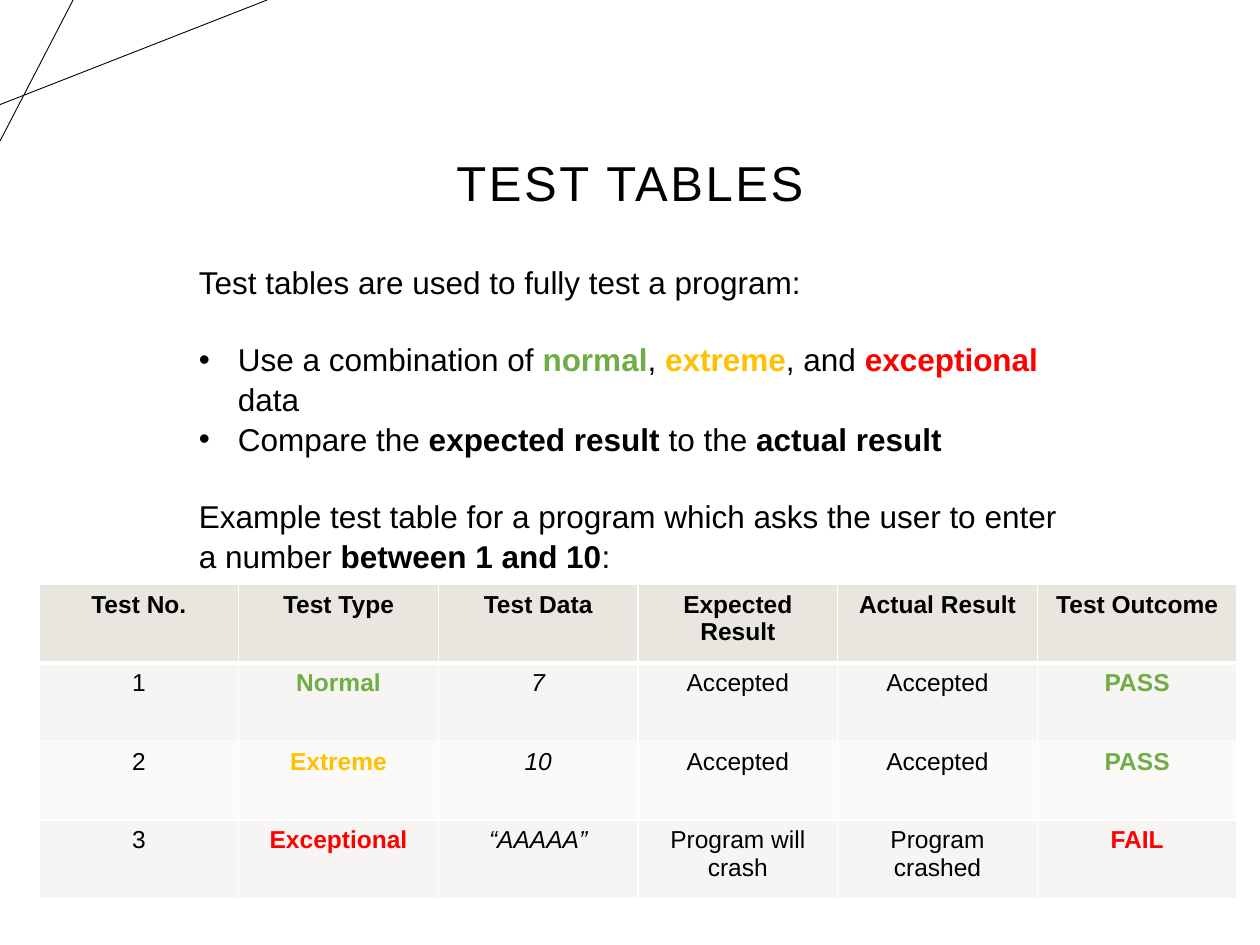
from dataclasses import dataclass

from lxml.etree import SubElement
from pptx import Presentation
from pptx.dml.color import RGBColor
from pptx.enum.shapes import MSO_CONNECTOR
from pptx.enum.text import MSO_ANCHOR, PP_ALIGN
from pptx.oxml.ns import qn
from pptx.util import Inches, Pt

FONT = "Arial"
COLORS = {
    "text": "000000",
    "normal": "70AD47",
    "extreme": "FFC000",
    "exceptional": "FF0000",
    "border": "FFFFFF",
    "header": "E9E6DF",
    "odd": "F7F5F3",
    "even": "FBFAF9",
}
BODY_SIZE = 18
BODY_SPACING = 1.05
SECTION_GAP = Pt(21.7)
INDENT = Inches(0.31)


@dataclass
class Run:
    text: str
    color: str = "text"
    bold: bool = False
    italic: bool = False


@dataclass
class Para:
    runs: list[Run]
    bullet: bool = False
    gap: bool = False


@dataclass
class Test:
    kind: str
    data: str
    expected: str
    actual: str
    passed: bool


BODY = [
    Para([Run("Test tables are used to fully test a program:")]),
    Para([
        Run("Use a combination of "),
        Run("normal", "normal", True),
        Run(", "),
        Run("extreme", "extreme", True),
        Run(", and "),
        Run("exceptional", "exceptional", True),
        Run(" data"),
    ], bullet=True, gap=True),
    Para([
        Run("Compare the "),
        Run("expected result", bold=True),
        Run(" to the "),
        Run("actual result", bold=True),
    ], bullet=True),
    Para([
        Run("Example test table for a program which asks the user to enter a number "),
        Run("between 1 and 10", bold=True),
        Run(":"),
    ], gap=True),
]
HEADERS = ["Test No.", "Test Type", "Test Data",
           "Expected Result", "Actual Result", "Test Outcome"]
TESTS = [
    Test("Normal", "7", "Accepted", "Accepted", True),
    Test("Extreme", "10", "Accepted", "Accepted", True),
    Test("Exceptional", "“AAAAA”", "Program will crash", "Program crashed", False),
]


def rgb(name: str) -> RGBColor:
    return RGBColor.from_string(COLORS[name])


def add_run(p, run: Run, size: float):
    r = p.add_run()
    r.text = run.text
    r.font.name = FONT
    r.font.size = Pt(size)
    r.font.bold = run.bold
    r.font.italic = run.italic
    r.font.color.rgb = rgb(run.color)
    return r


def add_line(s, x1: float, y1: float, x2: float, y2: float) -> None:
    line = s.shapes.add_connector(
        MSO_CONNECTOR.STRAIGHT, Inches(x1), Inches(y1), Inches(x2), Inches(y2))
    line.line.color.rgb = rgb("text")
    line.line.width = Pt(0.5)
    SubElement(line._element.spPr, qn("a:effectLst"))


def add_text_frame(s, x: float, y: float, w: float, h: float):
    tf = s.shapes.add_textbox(Inches(x), Inches(y), Inches(w), Inches(h)).text_frame
    tf.word_wrap = True
    return tf


def add_title(s) -> None:
    tf = add_text_frame(s, 0.69, 0.75, 8.62, 1.45)
    tf.vertical_anchor = MSO_ANCHOR.MIDDLE
    p = tf.paragraphs[0]
    p.alignment = PP_ALIGN.CENTER
    p.line_spacing = 0.9
    r = add_run(p, Run("TEST TABLES"), 28)
    r.font._element.set("spc", "150")


def add_bullet(p) -> None:
    pPr = p._p.get_or_add_pPr()
    pPr.set("marL", str(INDENT))
    pPr.set("indent", str(-INDENT))
    SubElement(pPr, qn("a:buFont"), typeface=FONT)
    SubElement(pPr, qn("a:buChar"), char="•")


def add_body(s) -> None:
    tf = add_text_frame(s, 1.48, 2.02, 7.15, 2.83)
    for i, para in enumerate(BODY):
        p = tf.add_paragraph() if i else tf.paragraphs[0]
        if para.bullet:
            add_bullet(p)
        p.line_spacing = BODY_SPACING
        if para.gap:
            p.space_before = SECTION_GAP
        for run in para.runs:
            add_run(p, run, BODY_SIZE)


def set_borders(cell, top: float, bottom: float) -> None:
    tcPr = cell._tc.get_or_add_tcPr()
    for side, width in (("L", 1), ("R", 1), ("T", top), ("B", bottom)):
        ln = SubElement(tcPr, qn(f"a:ln{side}"), w=str(Pt(width)))
        fill = SubElement(ln, qn("a:solidFill"))
        SubElement(fill, qn("a:srgbClr"), val=COLORS["border"])


def test_row(number: int, test: Test) -> list[Run]:
    outcome = Run("PASS", "normal", True) if test.passed else Run("FAIL", "exceptional", True)
    return [
        Run(str(number)),
        Run(test.kind, test.kind.lower(), True),
        Run(test.data, italic=True),
        Run(test.expected),
        Run(test.actual),
        outcome,
    ]


def add_test_table(s) -> None:
    rows = [[Run(h, bold=True) for h in HEADERS]]
    rows += [test_row(n, test) for n, test in enumerate(TESTS, 1)]
    table = s.shapes.add_table(len(rows), len(HEADERS), Inches(0.31), Inches(4.64),
                               Inches(9.51), Inches(2.49)).table
    for i, row in enumerate(rows):
        fill = "header" if i == 0 else "odd" if i % 2 else "even"
        for j, run in enumerate(row):
            cell = table.cell(i, j)
            set_borders(cell, top=3 if i == 1 else 1, bottom=3 if i == 0 else 1)
            cell.fill.solid()
            cell.fill.fore_color.rgb = rgb(fill)
            p = cell.text_frame.paragraphs[0]
            p.alignment = PP_ALIGN.CENTER
            add_run(p, run, 14)


def main() -> None:
    prs = Presentation()
    prs.slide_width, prs.slide_height = Inches(10), Inches(7.5)
    s = prs.slides.add_slide(prs.slide_layouts[6])
    add_line(s, 0, 0.83, 2.12, 0)
    add_line(s, 0.58, 0, 0, 1.12)
    add_title(s)
    add_body(s)
    add_test_table(s)
    prs.save("out.pptx")


if __name__ == "__main__":
    main()
